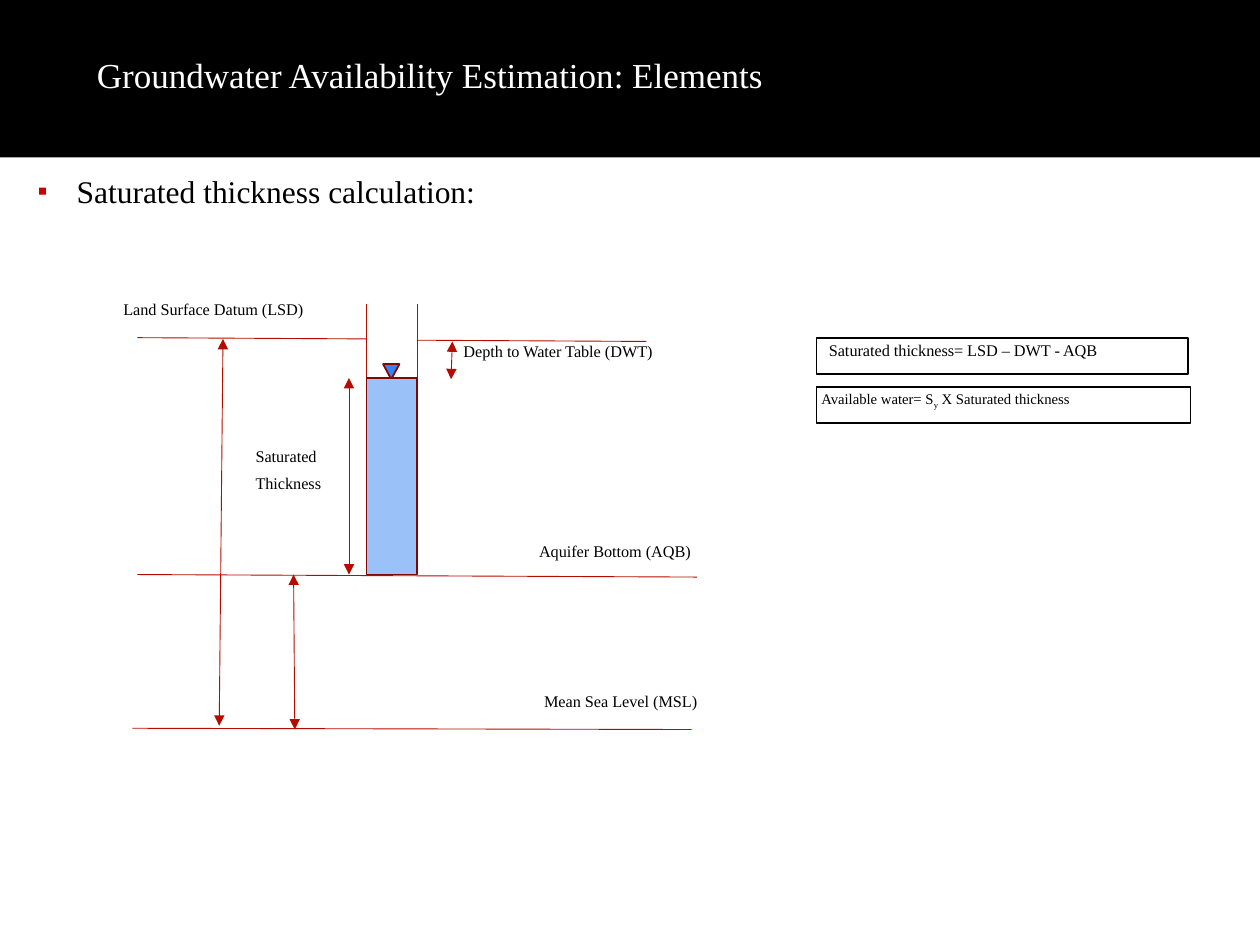
"""Build the slide on saturated thickness and groundwater availability."""
import pptx
import pptx.dml.color
import pptx.enum.shapes
import pptx.enum.text
import pptx.oxml
import pptx.oxml.ns
import pptx.util

Inches = pptx.util.Inches
Pt = pptx.util.Pt
SHAPE = pptx.enum.shapes.MSO_SHAPE
FONT = "Times New Roman"
COLORS = {
    "black": "000000",
    "white": "FFFFFF",
    "bullet": "CC0000",
    "line": "B50C00",
    "outline": "840600",
    "water": "9AC2F8",
    "marker": "3484F1",
}
WELL_LEFT, WELL_RIGHT, WELL_TOP = 2.91, 3.31, 2.41
WATER_TABLE, AQUIFER_BOTTOM = 3.0, 4.56

LINES = [
    (WELL_LEFT, WELL_TOP, WELL_LEFT, 4.02),
    (WELL_RIGHT, WELL_TOP, WELL_RIGHT, 4.02),
    (1.09, AQUIFER_BOTTOM, 5.53, 4.58),
    (1.09, 2.68, WELL_LEFT, 2.69),
    (WELL_RIGHT, 2.7, 5.13, 2.71),
    (1.05, 5.78, 5.49, 5.79),
]
ARROWS = [
    (3.59, 2.71, 3.58, 3.01),
    (1.77, 2.69, 1.74, 5.76),
    (2.33, AQUIFER_BOTTOM, 2.34, 5.79),
    (2.77, WATER_TABLE, 2.77, AQUIFER_BOTTOM),
]
LABELS = [
    ("Land Surface Datum (LSD)", 0.88, 2.36, 2.39, 0.26),
    ("Aquifer Bottom (AQB)", 4.18, 4.28, 1.93, 0.26),
    ("Depth to Water Table (DWT)", 3.58, 2.69, 2.22, 0.27),
    ("Mean Sea Level (MSL)", 4.22, 5.47, 1.89, 0.26),
    ("Saturated\nThickness", 1.93, 3.52, 1.24, 0.51),
    ("Saturated thickness= LSD – DWT - AQB", 6.48, 2.68, 3.22, 0.26),
]


def rgb(name):
    """Return the named colour."""
    return pptx.dml.color.RGBColor.from_string(COLORS[name])


def style_run(r, size, color="black"):
    """Set the font of a run."""
    r.font.name = FONT
    r.font.size = Pt(size)
    r.font.color.rgb = rgb(color)


def add_text(s, text, x, y, w, h, size, color="black"):
    """Add a wrapped text box and return its text frame."""
    tf = s.shapes.add_textbox(Inches(x), Inches(y), Inches(w), Inches(h)).text_frame
    tf.word_wrap = True
    tf.text = text
    for p in tf.paragraphs:
        for r in p.runs:
            style_run(r, size, color)
    return tf


def add_label(s, text, x, y, w, h, size=9.3):
    """Add a tightly spaced diagram label and return its text frame."""
    tf = add_text(s, text, x, y, w, h, size)
    for i, p in enumerate(tf.paragraphs):
        p.line_spacing = 0.8
        p.space_before = Pt(3 if i else 0)
        p.space_after = Pt(3.7)
    return tf


def add_bullet(p):
    """Give a paragraph a small red square bullet."""
    pPr = p._p.get_or_add_pPr()
    pPr.set("marL", str(Inches(0.44)))
    pPr.set("indent", str(Inches(-0.31)))
    ns = pptx.oxml.ns.nsdecls("a")
    for xml in (
        f'<a:buClr {ns}><a:srgbClr val="{COLORS["bullet"]}"/></a:buClr>',
        f'<a:buSzPct {ns} val="90000"/>',
        f'<a:buFont {ns} typeface="{FONT}"/>',
        f'<a:buChar {ns} char="▪"/>',
    ):
        pPr.append(pptx.oxml.parse_xml(xml))


def add_line(s, x1, y1, x2, y2, arrows=False):
    """Add a thin red line, with arrowheads at both ends if asked."""
    sp = s.shapes.add_connector(
        pptx.enum.shapes.MSO_CONNECTOR.STRAIGHT,
        Inches(x1), Inches(y1), Inches(x2), Inches(y2))
    sp.line.color.rgb = rgb("line")
    sp.line.width = Pt(0.5)
    ns = pptx.oxml.ns.nsdecls("a")
    if arrows:
        ln = sp.line._get_or_add_ln()
        for tag in ("headEnd", "tailEnd"):
            ln.append(pptx.oxml.parse_xml(f'<a:{tag} {ns} type="triangle"/>'))
    sp._element.spPr.append(pptx.oxml.parse_xml(f"<a:effectLst {ns}/>"))


def add_shape(s, kind, x, y, w, h, fill=None, line=None):
    """Add a preset shape with an optional fill and outline."""
    sp = s.shapes.add_shape(kind, Inches(x), Inches(y), Inches(w), Inches(h))
    sp.shadow.inherit = False
    if fill:
        sp.fill.solid()
        sp.fill.fore_color.rgb = rgb(fill)
    else:
        sp.fill.background()
    if line:
        sp.line.color.rgb = rgb(line)
        sp.line.width = Pt(1)
    else:
        sp.line.fill.background()
    return sp


def add_header(s):
    """Add the title band and the bulleted heading."""
    add_shape(s, SHAPE.RECTANGLE, 0, 0, 10, 1.25, "black")
    tf = add_text(s, "Groundwater Availability Estimation: Elements",
                  0.67, -0.03, 8.22, 1.25, 20, "white")
    tf.vertical_anchor = pptx.enum.text.MSO_ANCHOR.MIDDLE
    tf = add_text(s, "Saturated thickness calculation:", 0.07, 1.32, 9.8, 6, 18)
    add_bullet(tf.paragraphs[0])


def add_diagram(s):
    """Draw the well, the reference levels and the measured depths."""
    for ends in LINES:
        add_line(s, *ends)
    for ends in ARROWS:
        add_line(s, *ends, arrows=True)
    add_line(s, WELL_LEFT, 3.01, WELL_RIGHT, 3.01)
    marker = add_shape(s, SHAPE.ISOSCELES_TRIANGLE, 3.04, 2.89, 0.13, 0.12,
                       "marker", "outline")
    marker.rotation = 180
    add_shape(s, SHAPE.RECTANGLE, WELL_LEFT, WATER_TABLE, WELL_RIGHT - WELL_LEFT,
              AQUIFER_BOTTOM - WATER_TABLE, "water", "outline")
    for label in LABELS:
        add_label(s, *label)


def add_formulas(s):
    """Frame the two formulas and write the one with a subscript."""
    tf = add_label(s, "Available water= S", 6.42, 3.06, 3.16, 0.26, 8.4)
    p = tf.paragraphs[0]
    for text, baseline in (("y", -25000), (" X Saturated thickness", 0)):
        r = p.add_run()
        r.text = text
        style_run(r, 8.4)
        r._r.get_or_add_rPr().set("baseline", str(baseline))
    for y, w in ((2.68, 2.95), (3.07, 2.97)):
        add_shape(s, SHAPE.RECTANGLE, 6.48, y, w, 0.29, line="black")


def main():
    """Build and save the slide."""
    prs = pptx.Presentation()
    prs.slide_width, prs.slide_height = Inches(10), Inches(7.5)
    s = prs.slides.add_slide(prs.slide_layouts[6])
    add_header(s)
    add_diagram(s)
    add_formulas(s)
    prs.save("out.pptx")


if __name__ == "__main__":
    main()
